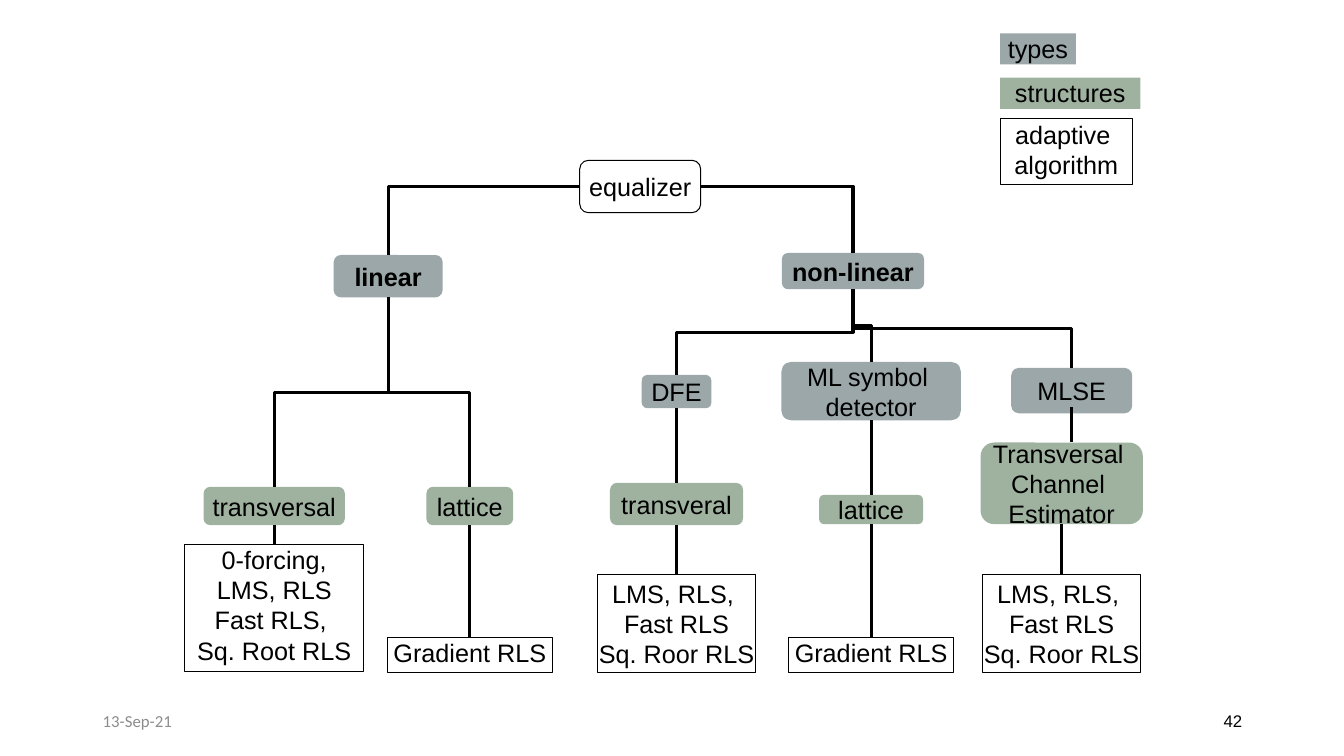
from pptx import Presentation
from pptx import util as u
from pptx.dml.color import RGBColor
from pptx.enum import shapes, text
from pptx.oxml import parse_xml
from pptx.oxml.ns import nsdecls

# Content: centre column of each branch, in inches
COLUMNS = {
    "linear": 3.85, "transversal": 2.72, "lattice": 4.66,
    "root": 6.35, "non-linear": 8.46, "dfe": 6.71, "detector": 8.64,
    "mlse": 10.63, "estimator": 10.53,
}
# Name: (lines, column, top, width, height, kind)
NODES = {
    "equalizer": (["equalizer"], "root", 1.59, 1.2, 0.52, "root"),
    "linear": (["linear"], "linear", 2.53, 1.08, 0.42, "main type"),
    "non-linear": (["non-linear"], "non-linear", 2.51, 1.41, 0.36, "main type"),
    "transversal": (["transversal"], "transversal", 4.83, 1.4, 0.38, "structure"),
    "lattice": (["lattice"], "lattice", 4.83, 0.86, 0.38, "structure"),
    "dfe": (["DFE"], "dfe", 3.72, 0.69, 0.33, "type"),
    "detector": (["ML symbol ", "detector"], "detector", 3.59, 1.78, 0.58, "type"),
    "mlse": (["MLSE"], "mlse", 3.65, 1.2, 0.45, "type"),
    "dfe structure": (["transveral"], "dfe", 4.79, 1.32, 0.42, "structure"),
    "detector structure": (["lattice"], "detector", 4.91, 1.03, 0.29, "structure"),
    "estimator": (["Transversal ", "Channel ", "Estimator"],
                  "estimator", 4.39, 1.61, 0.81, "structure"),
    "forcing": (["0-forcing,", "LMS, RLS", "Fast RLS, ", "Sq. Root RLS"],
                "transversal", 5.4, 1.77, 1.26, "algorithm"),
    "gradient": (["Gradient RLS"], "lattice", 6.32, 1.64, 0.35, "algorithm"),
    "dfe algorithms": (["LMS, RLS, ", "Fast RLS", "Sq. Roor RLS"],
                       "dfe", 5.7, 1.57, 0.97, "centred algorithm"),
    "detector gradient": (["Gradient RLS"], "detector", 6.32, 1.64, 0.35, "algorithm"),
    "mlse algorithms": (["LMS, RLS, ", "Fast RLS", "Sq. Roor RLS"],
                        "estimator", 5.7, 1.57, 0.97, "centred algorithm"),
}
SIDE_BRANCHES = [("equalizer", "linear"), ("equalizer", "non-linear")]
FORKS = {
    "linear": ["transversal", "lattice"],
    "non-linear": ["dfe", "detector", "mlse"],
}
STEMS = [
    ("transversal", "forcing"), ("lattice", "gradient"),
    ("dfe", "dfe structure"), ("dfe structure", "dfe algorithms"),
    ("detector", "detector structure"), ("detector structure", "detector gradient"),
    ("mlse", "estimator"), ("estimator", "mlse algorithms"),
]
LEGEND_LEFT = 9.92
LEGEND = [  # lines, top, width, height, kind
    (["types"], 0.33, 0.75, 0.31, "type key"),
    (["structures"], 0.77, 1.39, 0.31, "structure key"),
    (["adaptive ", "algorithm"], 1.18, 1.31, 0.65, "algorithm"),
]
FOOTER_TOP, FOOTER_WIDTH, FOOTER_HEIGHT = 6.95, 3, 0.4

THEME = {
    "type": "9BA7A8", "structure": "9FB2A0", "paper": "FFFFFF",
    "ink": "000000", "muted": "8C8C8C",
    "font": "Arial", "date font": "Calibri", "body": 18, "footer": 12,
    "outline": 0.75, "branch": 2.25,
}
ROUNDED = shapes.MSO_SHAPE.ROUNDED_RECTANGLE
SQUARE = shapes.MSO_SHAPE.RECTANGLE
MIDDLE, TOP = text.MSO_ANCHOR.MIDDLE, text.MSO_ANCHOR.TOP
KINDS = {  # preset, fill, outlined, bold, anchor
    "root": (ROUNDED, "paper", True, False, MIDDLE),
    "main type": (ROUNDED, "type", False, True, MIDDLE),
    "type": (ROUNDED, "type", False, False, MIDDLE),
    "structure": (ROUNDED, "structure", False, False, MIDDLE),
    "algorithm": (SQUARE, "paper", True, False, TOP),
    "centred algorithm": (SQUARE, "paper", True, False, MIDDLE),
    "type key": (SQUARE, "type", False, False, TOP),
    "structure key": (SQUARE, "structure", False, False, TOP),
}


def colour(name):
    return RGBColor.from_string(THEME[name])


def write(frame, lines, align, ink="ink", **font_values):
    for index, line in enumerate(lines):
        paragraph = frame.paragraphs[0] if index == 0 else frame.add_paragraph()
        paragraph.alignment = align
        run = paragraph.add_run()
        run.text = line
        for name, value in font_values.items():
            setattr(run.font, name, value)
        run.font.color.rgb = colour(ink)


def add_box(slide, lines, left, top, width, height, kind):
    preset, fill, outlined, bold, anchor = KINDS[kind]
    shape = slide.shapes.add_shape(preset, *map(u.Inches, (left, top, width, height)))
    shape.shadow.inherit = False
    shape.fill.solid()
    shape.fill.fore_color.rgb = colour(fill)
    if outlined:
        shape.line.color.rgb = colour("ink")
        shape.line.width = u.Pt(THEME["outline"])
    else:
        shape.line.fill.background()
    frame = shape.text_frame
    frame_format = {"margin_left": 0, "margin_top": 0, "margin_right": 0,
                    "margin_bottom": 0, "word_wrap": False, "vertical_anchor": anchor}
    for name, value in frame_format.items():
        setattr(frame, name, value)
    write(frame, lines, text.PP_ALIGN.CENTER, name=THEME["font"],
          size=u.Pt(THEME["body"]), bold=bold)


def add_branch(slide, kind, begin, end):
    connector = slide.shapes.add_connector(kind, *map(u.Inches, (*begin, *end)))
    connector.line.color.rgb = colour("ink")
    connector.line.width = u.Pt(THEME["branch"])
    properties = connector._element.spPr
    properties.append(parse_xml(f"<a:effectLst {nsdecls('a')}/>"))
    return properties


def add_side_branch(slide, parent, child):
    """Leave the parent's side, then turn down into the child."""
    _, parent_column, top, width, height, _ = NODES[parent]
    _, child_column, child_top, *_ = NODES[child]
    start, finish = COLUMNS[parent_column], COLUMNS[child_column]
    side = width / 2 if finish > start else -width / 2
    properties = add_branch(slide, shapes.MSO_CONNECTOR.ELBOW,
                            (start + side, top + height / 2), (finish, child_top))
    properties.prstGeom.set("prst", "bentConnector2")


def add_fork(slide, parent, child):
    """Down, across, down: an elbow turned a quarter round its centre."""
    _, parent_column, top, _, height, _ = NODES[parent]
    _, child_column, child_top, *_ = NODES[child]
    start, finish = COLUMNS[parent_column], COLUMNS[child_column]
    bottom = top + height
    middle_x, middle_y = (start + finish) / 2, (bottom + child_top) / 2
    rightward = finish > start
    half_run = (child_top - bottom) / 2 * (-1 if rightward else 1)
    half_rise = abs(finish - start) / 2
    properties = add_branch(slide, shapes.MSO_CONNECTOR.ELBOW,
                            (middle_x - half_run, middle_y - half_rise),
                            (middle_x + half_run, middle_y + half_rise))
    properties.xfrm.set("rot", str((270 if rightward else 90) * 60000))


def add_stem(slide, parent, child):
    _, column, top, _, height, _ = NODES[parent]
    x = COLUMNS[column]
    overlap = 0.06 if parent == "mlse" else 0
    add_branch(slide, shapes.MSO_CONNECTOR.STRAIGHT,
               (x, top + height - overlap), (x, NODES[child][2]))


def add_footer(slide, words, left, align, ink, font):
    box = slide.shapes.add_textbox(
        *map(u.Inches, (left, FOOTER_TOP, FOOTER_WIDTH, FOOTER_HEIGHT)))
    box.text_frame.word_wrap = True
    box.text_frame.vertical_anchor = MIDDLE
    write(box.text_frame, [words], align, ink, name=font, size=u.Pt(THEME["footer"]))


def main():
    presentation = Presentation()
    presentation.slide_width, presentation.slide_height = u.Inches(13.33), u.Inches(7.5)
    slide = presentation.slides.add_slide(presentation.slide_layouts[6])

    # Footer
    add_footer(slide, "13-Sep-21", 0.92, text.PP_ALIGN.LEFT, "muted", THEME["date font"])
    add_footer(slide, "42", 9.42, text.PP_ALIGN.RIGHT, "ink", THEME["font"])

    # Legend
    for lines, top, width, height, kind in LEGEND:
        add_box(slide, lines, LEGEND_LEFT, top, width, height, kind)

    # Tree boxes
    for lines, column, top, width, height, kind in NODES.values():
        add_box(slide, lines, COLUMNS[column] - width / 2, top, width, height, kind)

    # Tree branches
    for parent, child in SIDE_BRANCHES:
        add_side_branch(slide, parent, child)
    for parent, children in FORKS.items():
        for child in children:
            add_fork(slide, parent, child)
    for parent, child in STEMS:
        add_stem(slide, parent, child)

    presentation.save("out.pptx")


if __name__ == "__main__":
    main()
